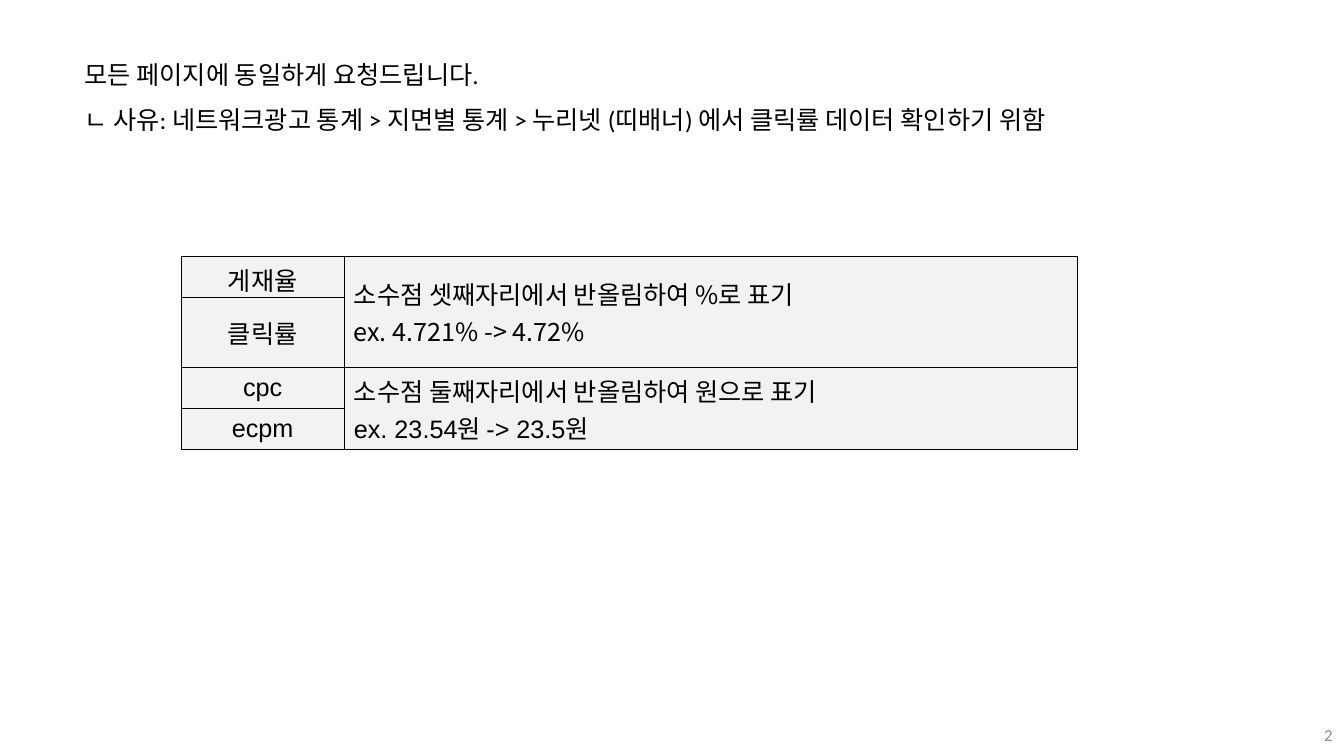
import pptx
import pptx.util
import pptx.dml.color
import pptx.enum.text
import pptx.oxml
import pptx.oxml.ns
from dataclasses import dataclass

Pt = pptx.util.Pt
ALIGN = pptx.enum.text.PP_ALIGN
MIDDLE = pptx.enum.text.MSO_ANCHOR.MIDDLE

REQUEST = [
    "모든 페이지에 동일하게 요청드립니다.",
    "ㄴ 사유: 네트워크광고 통계 > 지면별 통계 > 누리넷 (띠배너) 에서 클릭률 데이터 확인하기 위함",
]
PAGE_NUMBER = "2"


@dataclass(frozen=True)
class Theme:
    ink: str = "000000"
    muted: str = "8C8C8C"
    cell: str = "F2F2F2"
    body_size: float = 18
    number_size: float = 12
    border: float = 0.5
    body_font: str = "Calibri"
    table_font: str = "Arial"
    korean_font: str = "Noto Sans CJK KR"


THEME = Theme()

RULES = [
    (["게재율", "클릭률"],
     ["소수점 셋째자리에서 반올림하여 %로 표기", "ex. 4.721% -> 4.72%"], THEME.korean_font),
    (["cpc", "ecpm"],
     ["소수점 둘째자리에서 반올림하여 원으로 표기", "ex. 23.54원 -> 23.5원"], THEME.table_font),
]
COLUMN_WIDTHS = [116, 524]
ROW_HEIGHT = 29.2
TABLE_LEFT, TABLE_TOP = 129.6, 182.9


def write(tf, lines, font=THEME.body_font, size=THEME.body_size, color=THEME.ink,
          align=ALIGN.LEFT, spacing=None):
    for i, line in enumerate(lines):
        p = tf.paragraphs[0] if i == 0 else tf.add_paragraph()
        p.alignment = align
        p.line_spacing = spacing
        r = p.add_run()
        r.text = line
        r.font.name = font
        r.font.size = Pt(size)
        r.font.color.rgb = pptx.dml.color.RGBColor.from_string(color)
        ea = pptx.oxml.parse_xml(
            f'<a:ea {pptx.oxml.ns.nsdecls("a")} typeface="{THEME.korean_font}"/>')
        r.font._element.find(pptx.oxml.ns.qn("a:latin")).addnext(ea)


def add_text(s, box, lines, **fmt):
    tf = s.shapes.add_textbox(*map(Pt, box)).text_frame
    tf.word_wrap = True
    write(tf, lines, **fmt)
    return tf


def style_cell(cell):
    tc_pr = cell._tc.get_or_add_tcPr()
    for side in "LRTB":
        tc_pr.append(pptx.oxml.parse_xml(
            f'<a:ln{side} {pptx.oxml.ns.nsdecls("a")} w="{Pt(THEME.border)}">'
            f'<a:solidFill><a:srgbClr val="{THEME.ink}"/></a:solidFill></a:ln{side}>'))
    cell.fill.solid()
    cell.fill.fore_color.rgb = pptx.dml.color.RGBColor.from_string(THEME.cell)
    cell.vertical_anchor = MIDDLE


def add_rules_table(s):
    row_count = sum(len(metrics) for metrics, _, _ in RULES)
    table = s.shapes.add_table(
        row_count, len(COLUMN_WIDTHS), Pt(TABLE_LEFT), Pt(TABLE_TOP),
        Pt(sum(COLUMN_WIDTHS)), Pt(ROW_HEIGHT * row_count)).table
    table.first_row = table.horz_banding = False
    for column, width in zip(table.columns, COLUMN_WIDTHS):
        column.width = Pt(width)
    for row in table.rows:
        row.height = Pt(ROW_HEIGHT)
    for cell in table.iter_cells():
        style_cell(cell)
    top = 0
    for metrics, rule, rule_font in RULES:
        for i, metric in enumerate(metrics):
            write(table.cell(top + i, 0).text_frame, [metric],
                  font=THEME.table_font, align=ALIGN.CENTER)
        rule_cell = table.cell(top, 1)
        rule_cell.merge(table.cell(top + len(metrics) - 1, 1))
        write(rule_cell.text_frame, rule, font=rule_font)
        top += len(metrics)


def main():
    prs = pptx.Presentation()
    prs.slide_width, prs.slide_height = Pt(960), Pt(540)
    s = prs.slides.add_slide(prs.slide_layouts[6])
    number = add_text(s, (919.4, 514, 39.6, 22.3), [PAGE_NUMBER], size=THEME.number_size,
                      color=THEME.muted, align=ALIGN.RIGHT)
    number.vertical_anchor = MIDDLE
    add_rules_table(s)
    request = add_text(s, (53.3, 28.1, 783.4, 72.7), REQUEST, spacing=1.5)
    request.auto_size = pptx.enum.text.MSO_AUTO_SIZE.SHAPE_TO_FIT_TEXT
    prs.save("out.pptx")


if __name__ == "__main__":
    main()
